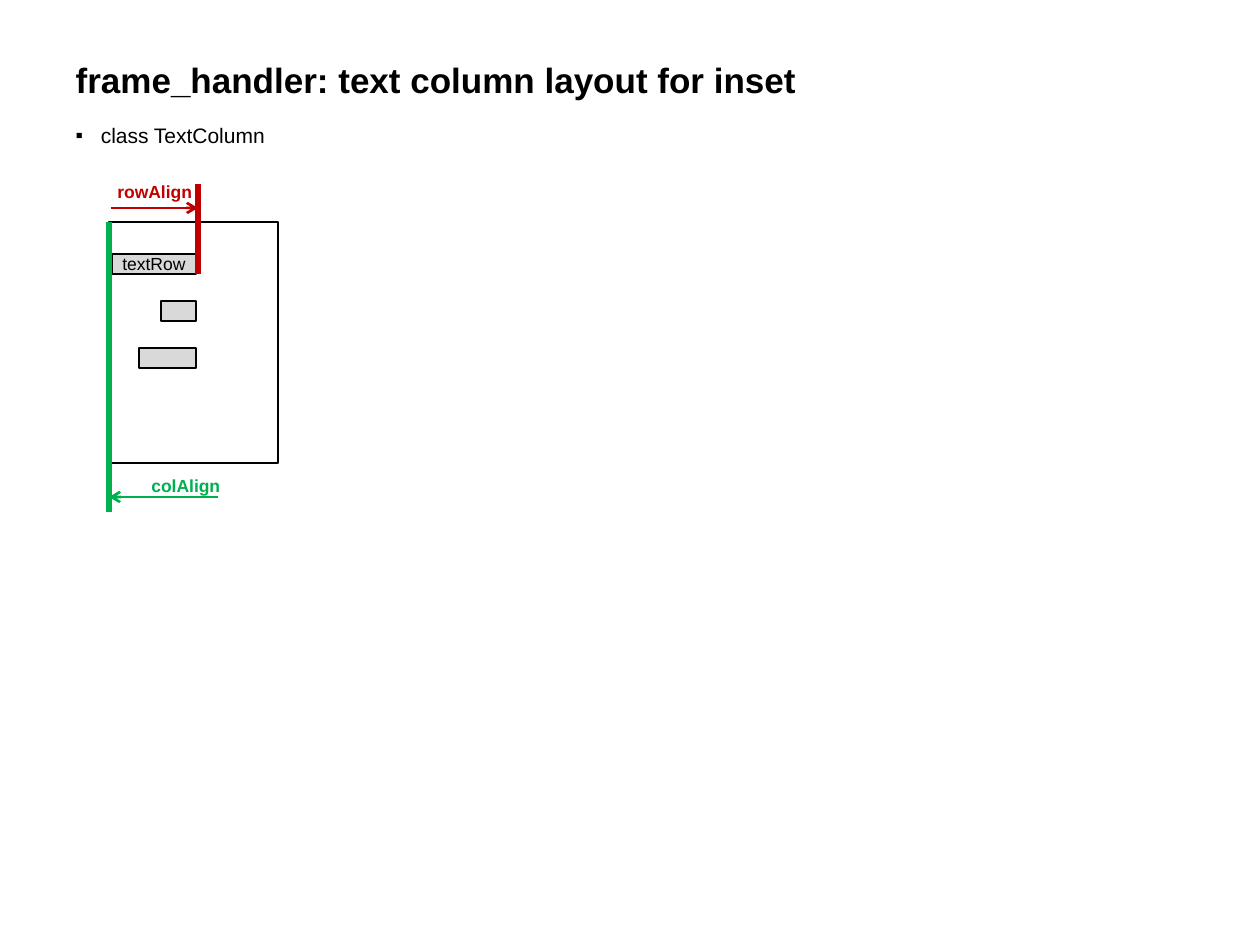
from lxml.etree import SubElement
from pptx import Presentation
from pptx.dml.color import RGBColor
from pptx.enum.shapes import MSO_CONNECTOR, MSO_SHAPE
from pptx.enum.text import MSO_ANCHOR, MSO_AUTO_SIZE, PP_ALIGN
from pptx.oxml.ns import qn
from pptx.util import Emu, Inches, Pt

PX = 914400 // 126
BLACK, GREY, GREEN, RED = "000000", "D9D9D9", "00B050", "C00000"


def rgb(value):
    """Turn a hex string into a colour."""
    return RGBColor.from_string(value)


def px(*values):
    """Turn picture pixels into EMU lengths."""
    return [Emu(v * PX) for v in values]


class Canvas:
    """Holds the style and the slide being drawn."""

    font = "Arial"

    def __init__(self, s):
        """Keep the slide to draw on."""
        self.s = s

    def run(self, p, text, size, color=BLACK, bold=False):
        """Add one formatted run to a paragraph."""
        r = p.add_run()
        r.text = text
        r.font.name = self.font
        r.font.size = Pt(size)
        r.font.bold = bold
        r.font.color.rgb = rgb(color)

    def place(self, sp, box, anchor):
        """Move a placeholder and return its first paragraph."""
        sp.left, sp.top, sp.width, sp.height = px(*box)
        tf = sp.text_frame
        tf.auto_size = MSO_AUTO_SIZE.NONE
        tf.vertical_anchor = anchor
        p = tf.paragraphs[0]
        p.alignment = PP_ALIGN.LEFT
        return p

    def title(self, text, *box):
        """Fill the title placeholder."""
        p = self.place(self.s.shapes.title, box, MSO_ANCHOR.MIDDLE)
        self.run(p, text, 20, bold=True)

    def bullet(self, text, *box):
        """Fill the body placeholder with one bulleted line."""
        p = self.place(self.s.placeholders[1], box, MSO_ANCHOR.TOP)
        p.space_before = Pt(3)
        pPr = p._p.get_or_add_pPr()
        pPr.set("marL", str(Inches(0.2)))
        pPr.set("indent", str(-Inches(0.2)))
        SubElement(pPr, qn("a:buFont"), typeface=self.font)
        SubElement(pPr, qn("a:buChar"), char="\u25aa")
        self.run(p, text, 12)

    def rect(self, *box, fill=None):
        """Draw an outlined rectangle."""
        sp = self.s.shapes.add_shape(MSO_SHAPE.RECTANGLE, *px(*box))
        sp.shadow.inherit = False
        if fill:
            sp.fill.solid()
            sp.fill.fore_color.rgb = rgb(fill)
        else:
            sp.fill.background()
        sp.line.color.rgb = rgb(BLACK)
        sp.line.width = Pt(1.5)

    def line(self, *ends, color, width=3.0, arrow=False):
        """Draw a straight line, with an arrowhead at its end if asked."""
        cn = self.s.shapes.add_connector(MSO_CONNECTOR.STRAIGHT, *px(*ends))
        cn.line.color.rgb = rgb(color)
        cn.line.width = Pt(width)
        if arrow:
            SubElement(cn.line._get_or_add_ln(), qn("a:tailEnd"), type="arrow")
        SubElement(cn._element.spPr, qn("a:effectLst"))

    def label(self, text, *box, color=BLACK, bold=False, wrap=False):
        """Add a small text box."""
        tf = self.s.shapes.add_textbox(*px(*box)).text_frame
        tf.word_wrap = wrap
        tf.auto_size = MSO_AUTO_SIZE.SHAPE_TO_FIT_TEXT
        self.run(tf.paragraphs[0], text, 10, color, bold)


prs = Presentation()
prs.slide_width, prs.slide_height = Inches(10), Inches(7.5)
c = Canvas(prs.slides.add_slide(prs.slide_layouts[1]))

c.title("frame_handler: text column layout for inset", 63, 38, 1134, 82)
c.bullet("class TextColumn", 63, 116, 567, 174)

col_x, col_y, row_right = 109, 222, 196
c.rect(col_x, col_y, 169, 241)
for i, width in enumerate((84, 35, 57)):
    c.rect(row_right - width, 254 + 47 * i, width, 20, fill=GREY)
c.label("textRow", 110, 247, 105, 34, wrap=True)

c.line(col_x, col_y, col_x, 512, color=GREEN)
c.line(218, 497, col_x, 497, color=GREEN, width=1.5, arrow=True)
c.label("colAlign", 139, 469, 94, 34, color=GREEN, bold=True)

align_x = row_right + 2
c.line(align_x, 184, align_x, 274, color=RED)
c.line(111, 208, align_x, 208, color=RED, width=1.5, arrow=True)
c.label("rowAlign", 105, 175, 101, 34, color=RED, bold=True)

prs.save("out.pptx")
